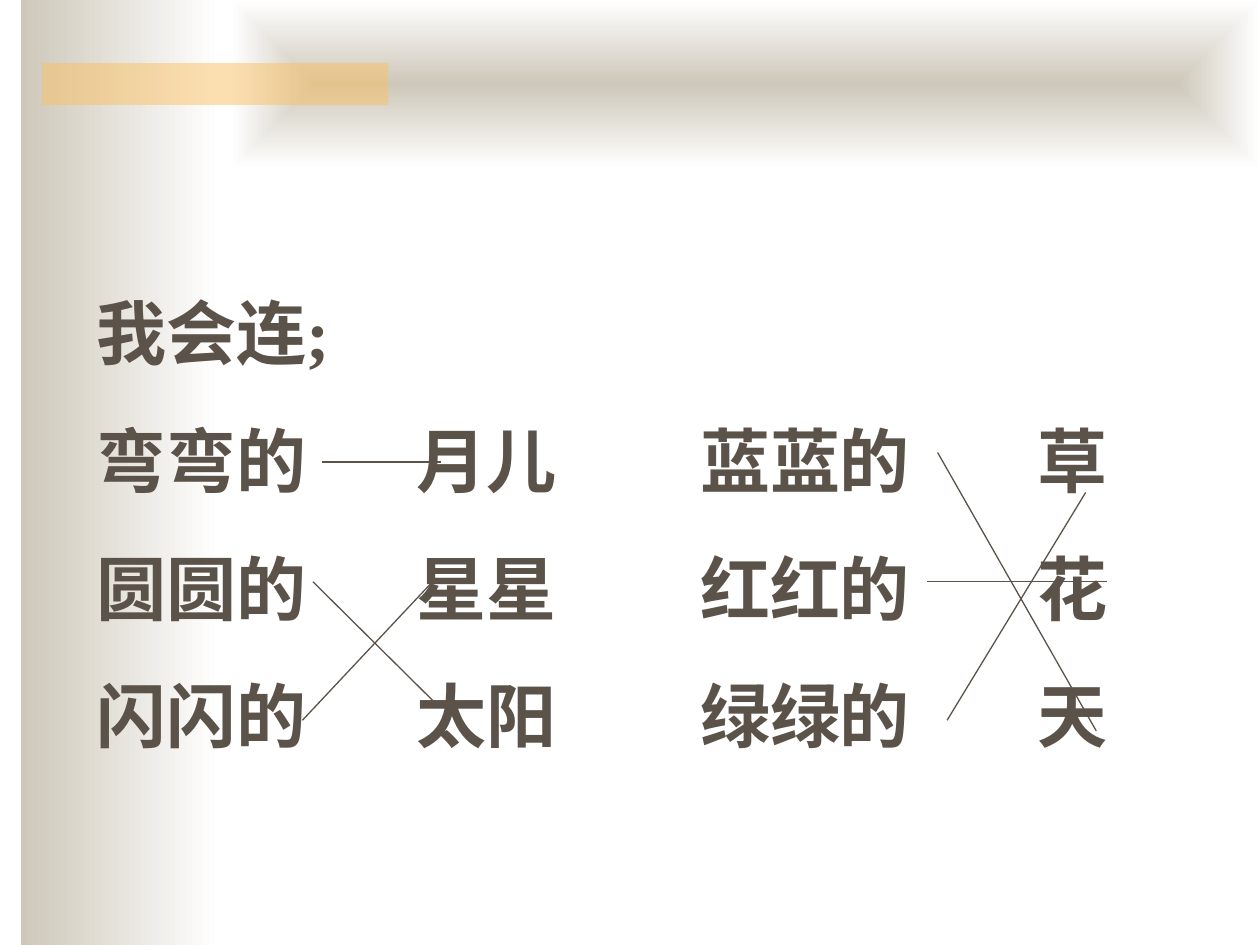
"""Build a word-matching exercise slide on a 120 by 90 grid."""
from lxml import etree
from pptx import Presentation
from pptx.dml.color import RGBColor
from pptx.enum.dml import MSO_FILL
from pptx.enum.shapes import MSO_CONNECTOR, MSO_SHAPE
from pptx.enum.text import MSO_AUTO_SIZE
from pptx.oxml import parse_xml
from pptx.oxml.ns import nsdecls, qn
from pptx.util import Inches, Pt

RECT = MSO_SHAPE.RECTANGLE
STRAIGHT = MSO_CONNECTOR.STRAIGHT
GRADIENT = MSO_FILL.GRADIENT
GROW = MSO_AUTO_SIZE.SHAPE_TO_FIT_TEXT

COLORS = {"ink": "5B5249", "sand": "CEC8BA", "white": "FFFFFF", "gold": "FAC164"}
RGB = {name: RGBColor.from_string(value) for name, value in COLORS.items()}

prs = Presentation()
prs.slide_width, prs.slide_height = Inches(10), Inches(7.5)
U = prs.slide_width / 120
s = prs.slides.add_slide(prs.slide_layouts[6])


def grid(*values):
    return [round(v * U) for v in values]


def add_text(p, text, size=40, font="Times New Roman", color="ink", bold=True, before=0, tabs=()):
    p.space_before = Pt(before)
    if tabs:
        tab_list = etree.SubElement(p._p.get_or_add_pPr(), qn("a:tabLst"))
        for pos in grid(*tabs):
            etree.SubElement(tab_list, qn("a:tab"), pos=str(pos), algn="l")
    r = p.add_run()
    r.text = text
    r.font.size, r.font.name, r.font.bold = Pt(size), font, bold
    r.font.color.rgb = RGB[color]


side_band = (2, 0, 19, 90)
top_band = (22, 0, 98, 16)
accent_bar = (4, 6, 33, 4)
for box in (side_band, top_band, accent_bar):
    sp = s.shapes.add_shape(RECT, *grid(*box))
    sp.shadow.inherit = False
    sp.line.fill.background()
    if box == accent_bar:
        sp.fill.solid()
        sp.fill.fore_color.rgb = RGB["gold"]
        clr = sp._element.spPr.find(".//" + qn("a:srgbClr"))
        etree.SubElement(clr, qn("a:alpha"), val="50000")
    else:
        sp.fill.gradient()
        sp.fill.gradient_angle = 0
        for stop, name, pos in zip(sp.fill.gradient_stops, ("sand", "white"), (0, 1)):
            stop.color.rgb = RGB[name]
            stop.position = pos
    if box == top_band and sp.fill.type == GRADIENT:
        lin = sp._element.spPr.find(".//" + qn("a:lin"))
        lin.getparent().replace(lin, parse_xml(
            f'<a:path {nsdecls("a")} path="rect">'
            '<a:fillToRect l="50000" t="50000" r="50000" b="50000"/></a:path>'))

rows = [
    ("我会连;",),
    ("弯弯的", "月儿", "蓝蓝的", "草"),
    ("圆圆的", "星星", "红红的", "花"),
    ("闪闪的", "太阳", "绿绿的", "天"),
]
tf = s.shapes.add_textbox(*grid(8, 27, 112, 45.7)).text_frame
tf.word_wrap = True
tf.auto_size = GROW
for i, words in enumerate(rows):
    p = tf.add_paragraph() if i else tf.paragraphs[0]
    add_text(p, "\t".join(words), before=25 if i else 0, tabs=(30.5, 57.5, 89.6))

matches = [
    (30.7, 44, 42, 44),
    (29.8, 55.4, 41.2, 66.7),
    (28.8, 68.6, 41.2, 55.4),
    (89.3, 43.1, 104.4, 69.6),
    (88.3, 55.4, 105.4, 55.4),
    (90.2, 68.6, 103.4, 46.9),
]
for ends in matches:
    line = s.shapes.add_connector(STRAIGHT, *grid(*ends))
    line.line.color.rgb = RGB["ink"]
    line.line.width = Pt(0.75)
    etree.SubElement(line._element.spPr, qn("a:effectLst"))

prs.save("out.pptx")
